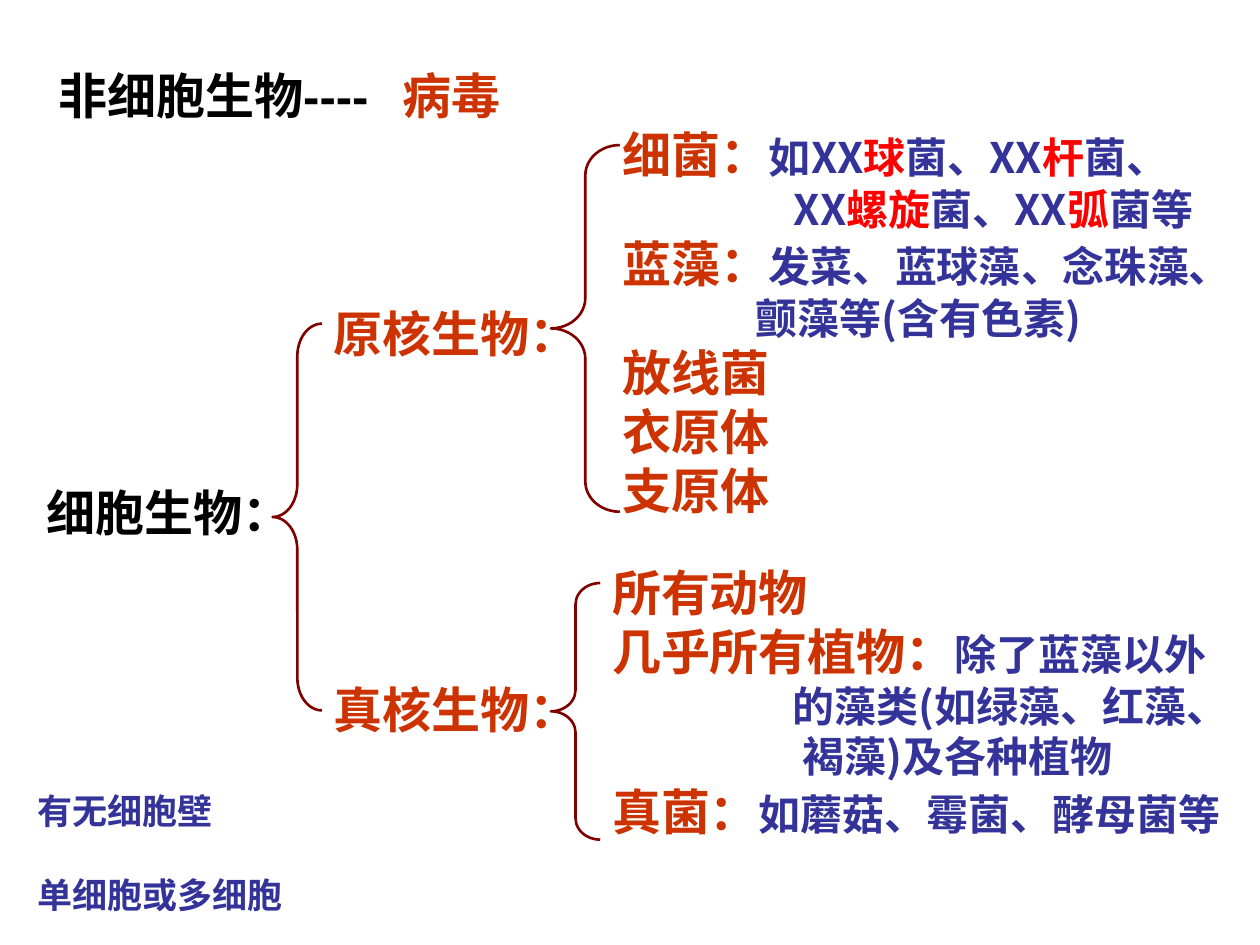
from pptx import Presentation
from pptx.dml.color import RGBColor
from pptx.enum import shapes, text
from pptx.oxml import ns
from pptx.util import Pt
from lxml import etree

INK = {"black": "000000", "rust": "CC3300", "blue": "333399",
       "red": "FF0000", "brace": "800000"}
# Style of a run: size, font, colour
STYLE = {
    "root": (28, "Arial", "black"),
    "group": (28, "Arial", "rust"),
    "case": (24, "Noto Sans CJK JP", "blue"),
    "key": (24, "Noto Sans CJK JP", "red"),
    "note": (20, "Noto Sans CJK SC", "blue"),
}

deck = Presentation()
deck.slide_width, deck.slide_height = Pt(720), Pt(540)
slide = deck.slides.add_slide(deck.slide_layouts[6])


def add_text(left, top, width, height, lines, align="LEFT", gap=0):
    """Each line is (indent, [(style, words), ...])."""
    box = slide.shapes.add_textbox(Pt(left), Pt(top), Pt(width), Pt(height))
    frame = box.text_frame
    frame.word_wrap = True
    frame.margin_top = Pt(5.6)
    for row, (indent, runs) in enumerate(lines):
        para = frame.add_paragraph() if row else frame.paragraphs[0]
        para.alignment = getattr(text.PP_ALIGN, align)
        para.line_spacing = Pt(1.2 * max(STYLE[kind][0] for kind, _ in runs))
        if row and gap:
            para.space_before = Pt(gap)
        if indent:
            props = para._p.get_or_add_pPr()
            props.set("marL", str(Pt(indent)))
            props.set("indent", "0")
        for kind, words in runs:
            size, face, ink = STYLE[kind]
            run = para.add_run()
            run.text = words
            run.font.size, run.font.name, run.font.bold = Pt(size), face, True
            run.font.color.rgb = RGBColor.from_string(INK[ink])
            east = etree.SubElement(run._r.get_or_add_rPr(), ns.qn("a:ea"))
            east.set("typeface", "Noto Sans CJK SC")


# Headings of the tree
for left, top, width, kind, words in (
    (8.6, 31.7, 226.8, "root", "非细胞生物----"),
    (8.6, 270, 175.7, "root", "细胞生物："),
    (195.8, 31.7, 124.6, "group", "病毒"),
    (172.8, 167.8, 175.7, "group", "原核生物："),
    (161.3, 383, 198.7, "group", "真核生物："),
):
    add_text(left, top, width, 41, [(0, [(kind, words)])], "CENTER")

# Prokaryotes
add_text(348.5, 65.5, 371.5, 233.3, [
    (0, [("group", "细菌："), ("case", "如XX"), ("key", "球"),
         ("case", "菌、XX"), ("key", "杆"), ("case", "菌、")]),
    (98, [("case", "XX"), ("key", "螺旋"), ("case", "菌、XX"),
          ("key", "弧"), ("case", "菌等")]),
    (0, [("group", "蓝藻："), ("case", "发菜、蓝球藻、念珠藻、")]),
    (76, [("case", "颤藻等(含有色素)")]),
    (0, [("group", "放线菌")]),
    (0, [("group", "衣原体")]),
    (0, [("group", "支原体")]),
])

# Eukaryotes
add_text(342.7, 316, 396.7, 165.6, [
    (0, [("group", "所有动物")]),
    (0, [("group", "几乎所有植物："), ("case", "除了蓝藻以外")]),
    (103, [("case", "的藻类(如绿藻、红藻、")]),
    (109, [("case", "褐藻)及各种植物")]),
    (0, [("group", "真菌："), ("case", "如蘑菇、霉菌、酵母菌等")]),
])

# Braces: left, top, width, height, curl as a share of the width
for left, top, width, height, curl in (
    (155.8, 185, 28.2, 221, 0.66),
    (314.8, 333.2, 28.2, 146.6, 0.43),
    (314.8, 82.9, 39.4, 209.5, 0.44),
):
    brace = slide.shapes.add_shape(shapes.MSO_SHAPE.LEFT_BRACE, Pt(left),
                                   Pt(top), Pt(width), Pt(height))
    brace.adjustments[0] = curl
    brace.shadow.inherit = False
    brace.fill.background()
    brace.line.color.rgb = RGBColor.from_string(INK["brace"])
    brace.line.width = Pt(1.5)

# Points of comparison
add_text(14.4, 445.7, 266.4, 79.2, [
    (0, [("note", "有无细胞壁")]),
    (0, [("note", "单细胞或多细胞")]),
], gap=24)

deck.save("out.pptx")
